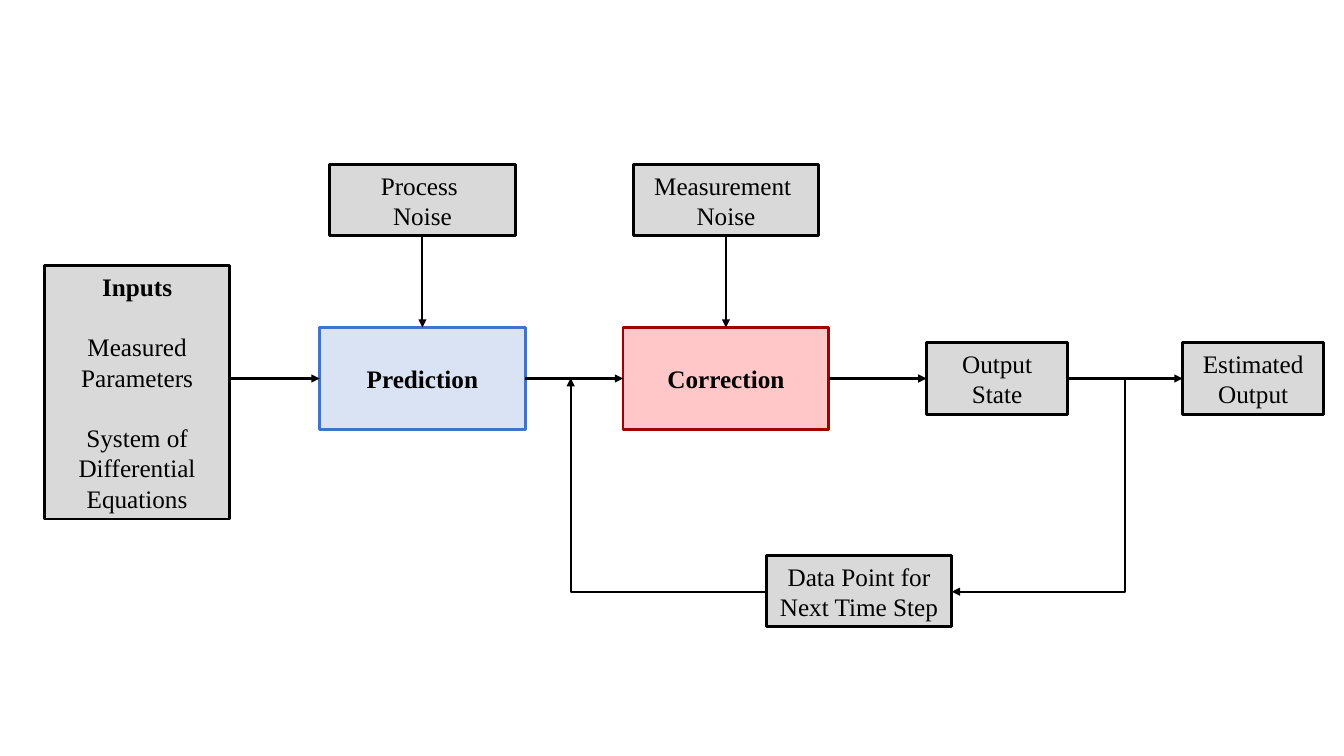
from lxml import etree
from pptx import Presentation
from pptx.dml.color import RGBColor
from pptx.enum import shapes, text
from pptx.oxml import ns
from pptx.util import Inches, Pt

FONT = {"name": "Times New Roman", "size": Pt(18)}
TOP, LEFT, BOTTOM, RIGHT = range(4)
AXIS = 3.75


def color(value):
    return RGBColor.from_string(value)


def add_child(parent, tag, **attributes):
    return etree.SubElement(parent, ns.qn(tag), attributes)


def add_box(page, place, lines, fill="D9D9D9", line="000000", bold=0, gap=0):
    """Draw a labelled rectangle; the first `bold` lines are bold."""
    box = page.shapes.add_shape(
        shapes.MSO_SHAPE.RECTANGLE, *(Inches(length) for length in place))
    box.shadow.inherit = False
    box.fill.solid()
    box.fill.fore_color.rgb = color(fill)
    box.line.color.rgb = color(line)
    box.line.width = Pt(2)
    frame = box.text_frame
    frame.word_wrap = True
    frame.vertical_anchor = text.MSO_ANCHOR.MIDDLE
    for index, words in enumerate(lines):
        para = frame.paragraphs[0] if index == 0 else frame.add_paragraph()
        para.alignment = text.PP_ALIGN.CENTER
        para.space_before = Pt(gap if index else 0)
        span = para.add_run()
        span.text = words
        for name, value in {**FONT, "bold": index < bold}.items():
            setattr(span.font, name, value)
        span.font.color.rgb = color("000000")
    return box


def make_translucent(box, percent):
    fill = box.element.spPr.find(ns.qn("a:solidFill"))
    add_child(fill[0], "a:alpha", val=str(percent * 1000))


def add_arrow(page, start, end, kind=shapes.MSO_CONNECTOR.STRAIGHT):
    arrow = page.shapes.add_connector(
        kind, *(Inches(length) for length in (*start, *end)))
    arrow.line.color.rgb = color("000000")
    arrow.line.width = Pt(1.5)
    add_child(arrow.line._get_or_add_ln(), "a:tailEnd", type="triangle")
    add_child(arrow.element.spPr, "a:effectLst")
    return arrow


def join(page, source, source_side, target, target_side):
    arrow = add_arrow(page, (0, 0), (1, 1))
    arrow.begin_connect(source, source_side)
    arrow.end_connect(target, target_side)


def add_elbow(page, left, top, width, height, degrees):
    """Draw a one-corner arrow in a frame turned by the given degrees."""
    arrow = add_arrow(page, (left, top), (left + width, top + height),
                      shapes.MSO_CONNECTOR.ELBOW)
    properties = arrow.element.spPr
    properties.find(ns.qn("a:prstGeom")).set("prst", "bentConnector2")
    properties.find(ns.qn("a:xfrm")).set("rot", str(degrees * 60000))


def main():
    deck = Presentation()
    deck.slide_width, deck.slide_height = Inches(13.33), Inches(7.5)
    page = deck.slides.add_slide(deck.slide_layouts[6])

    inputs = ["Inputs", "Measured Parameters", "System of Differential Equations"]
    add_box(page, (0.44, 2.63, 1.84, 2.52), inputs, bold=1, gap=21.6)
    process = add_box(page, (3.27, 1.63, 1.84, 0.71), ["Process ", "Noise"])
    measurement = add_box(page, (6.28, 1.63, 1.84, 0.71), ["Measurement ", "Noise"])
    add_box(page, (7.6, 5.51, 1.84, 0.71), ["Data Point for", "Next Time Step"])
    state = add_box(page, (9.19, 3.4, 1.4, 0.71), ["Output", "State"])
    estimate = add_box(page, (11.73, 3.4, 1.4, 0.71), ["Estimated", "Output"])
    prediction = add_box(page, (3.17, 3.25, 2.04, 1.01), ["Prediction"],
                         "DAE3F3", "4472C4", bold=1)
    correction = add_box(page, (6.18, 3.25, 2.04, 1.01), ["Correction"],
                         "FF0000", "A40000", bold=1)
    make_translucent(correction, 22)

    from_inputs = add_arrow(page, (2.28, AXIS), (3.17, AXIS))
    from_inputs.end_connect(prediction, LEFT)
    from_inputs.begin_y = from_inputs.end_y
    stages = [prediction, correction, state, estimate]
    for source, target in zip(stages, stages[1:]):
        join(page, source, RIGHT, target, LEFT)
    for noise, stage in ((process, prediction), (measurement, correction)):
        join(page, noise, BOTTOM, stage, TOP)

    add_elbow(page, 9.24, 3.95, 2.12, 1.72, 90)
    add_elbow(page, 5.66, AXIS, 1.94, 2.12, 180)
    deck.save("out.pptx")


if __name__ == "__main__":
    main()
